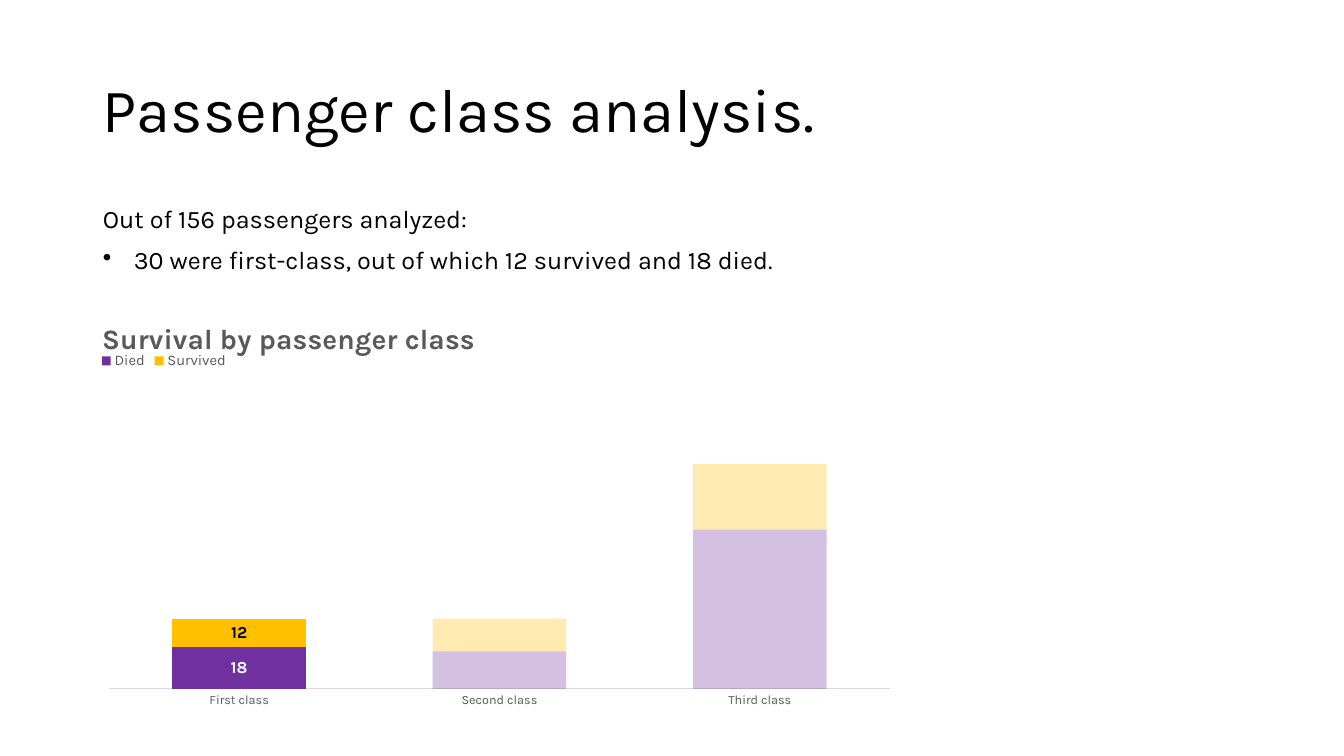
from pptx import Presentation
from pptx.chart.data import CategoryChartData
from pptx.dml.color import RGBColor
from pptx.enum.chart import XL_CHART_TYPE, XL_LABEL_POSITION, XL_LEGEND_POSITION, XL_TICK_MARK
from pptx.enum.text import MSO_ANCHOR
from pptx.oxml import parse_xml
from pptx.oxml.ns import nsdecls
from pptx.oxml.xmlchemy import OxmlElement
from pptx.util import Emu, Pt

STACKED = XL_CHART_TYPE.COLUMN_STACKED
CENTER = XL_LABEL_POSITION.CENTER
TOP = XL_LEGEND_POSITION.TOP
NO_TICK = XL_TICK_MARK.NONE
MIDDLE = MSO_ANCHOR.MIDDLE

FONT = "Karla"
COLORS = {"black": "000000", "white": "FFFFFF", "gray": "595959",
          "line": "D9D9D9", "purple": "7030A0", "gold": "FFC000"}

TITLE = "Passenger class analysis."
LEAD = "Out of 156 passengers analyzed:"
BULLET = " 30 were first-class, out of which 12 survived and 18 died."
CHART_TITLE = "Survival by passenger class"
CLASSES = ["First class", "Second class", "Third class"]
SERIES = [("Died", [18, 16, 68], "purple", "white"),
          ("Survived", [12, 14, 28], "gold", "black")]
FOCUS = 0       # the class in full colour
FADED = 30      # opacity of the others, in percent
AXIS_MAX = 120

# left, top, width, height in px
SIZE = (1344, 756)
TITLE_BOX = (93, 40, 1159, 146)
BODY_BOX = (93, 202, 1159, 480)
CHART_BOX = (93, 309, 814, 407)
PLOT_BOX = (109, 408, 781, 281)
HEAD_AT = (97, 315)
KEY_AT = (97, 348)
INDENT = 25
PX = 914400 / 100.8


def px(n):
    return Emu(round(n * PX))


def rgb(name):
    return RGBColor.from_string(COLORS[name])


def style(font, size, color, bold=False):
    font.name, font.size, font.bold = FONT, Pt(size), bold
    font.color.rgb = rgb(color)


def add_box(box):
    frame = slide.shapes.add_textbox(*map(px, box)).text_frame
    frame.word_wrap = True
    return frame


def write(para, text, size):
    para.line_spacing = 0.9
    run = para.add_run()
    run.text = text
    style(run.font, size, "black")


def add_bullet(para):
    props = para._p.get_or_add_pPr()
    props.set("marL", str(px(INDENT)))
    props.set("indent", str(-px(INDENT)))
    mark = OxmlElement("a:buChar")
    mark.set("char", "•")
    props.append(mark)


def place(part, index, box):
    """Fix a chart part at a slide position, given as px."""
    for old in part.xpath("c:layout"):
        part.remove(old)
    left, top, wide, high = CHART_BOX
    spots = [(box[0] - left) / wide, (box[1] - top) / high]
    modes = '<c:xMode val="edge"/><c:yMode val="edge"/>'
    if len(box) == 4:
        spots += [box[2] / wide, box[3] / high]
        modes = '<c:layoutTarget val="inner"/>' + modes
    values = "".join(f'<c:{tag} val="{spot:.4f}"/>' for tag, spot in zip("xywh", spots))
    part.insert(index, parse_xml(
        f'<c:layout {nsdecls("c")}><c:manualLayout>{modes}{values}</c:manualLayout></c:layout>'))


def paint(fill, color, opacity=100):
    fill.solid()
    fill.fore_color.rgb = rgb(color)
    if opacity < 100:
        alpha = OxmlElement("a:alpha")
        alpha.set("val", str(opacity * 1000))
        fill._xPr.xpath("a:solidFill/a:srgbClr")[0].append(alpha)


def add_chart():
    data = CategoryChartData()
    data.categories = CLASSES
    for name, values, *_ in SERIES:
        data.add_series(name, values)
    chart = slide.shapes.add_chart(STACKED, *map(px, CHART_BOX), data).chart
    style(chart.font, 10, "black")

    head = chart.chart_title
    run = head.text_frame.paragraphs[0].add_run()
    run.text = CHART_TITLE
    style(run.font, 20, "gray", True)
    place(head._element, 1, HEAD_AT)

    chart.has_legend = True
    key = chart.legend
    key.position, key.include_in_layout = TOP, False
    style(key.font, 10.5, "gray")
    place(key._element, 1, KEY_AT)
    place(chart._chartSpace.xpath("c:chart/c:plotArea")[0], 0, PLOT_BOX)

    axis = chart.category_axis
    axis.major_tick_mark = axis.minor_tick_mark = NO_TICK
    style(axis.tick_labels.font, 9, "gray")
    axis.format.line.color.rgb = rgb("line")
    axis.format.line.width = Pt(0.75)
    scale = chart.value_axis
    scale.visible = scale.has_major_gridlines = False
    scale.minimum_scale, scale.maximum_scale = 0, AXIS_MAX

    plot = chart.plots[0]
    plot.gap_width, plot.overlap, plot.vary_by_categories = 95, 100, False
    for series, (_, values, color, ink) in zip(plot.series, SERIES):
        paint(series.format.fill, color)
        for i in range(len(values)):
            if i != FOCUS:
                paint(series.points[i].format.fill, color, FADED)
        label = series.points[FOCUS].data_label
        style(label.font, 12, ink, True)
        label.position = CENTER
        series.data_labels.show_value = False


deck = Presentation()
deck.slide_width, deck.slide_height = map(px, SIZE)
slide = deck.slides.add_slide(deck.slide_layouts[6])

title = add_box(TITLE_BOX)
title.vertical_anchor = MIDDLE
write(title.paragraphs[0], TITLE, 44)

body = add_box(BODY_BOX)
lead, item = body.paragraphs[0], body.add_paragraph()
for para, text in ((lead, LEAD), (item, BULLET)):
    para.space_before = Pt(10)
    write(para, text, 18)
add_bullet(item)

add_chart()
deck.save("out.pptx")
